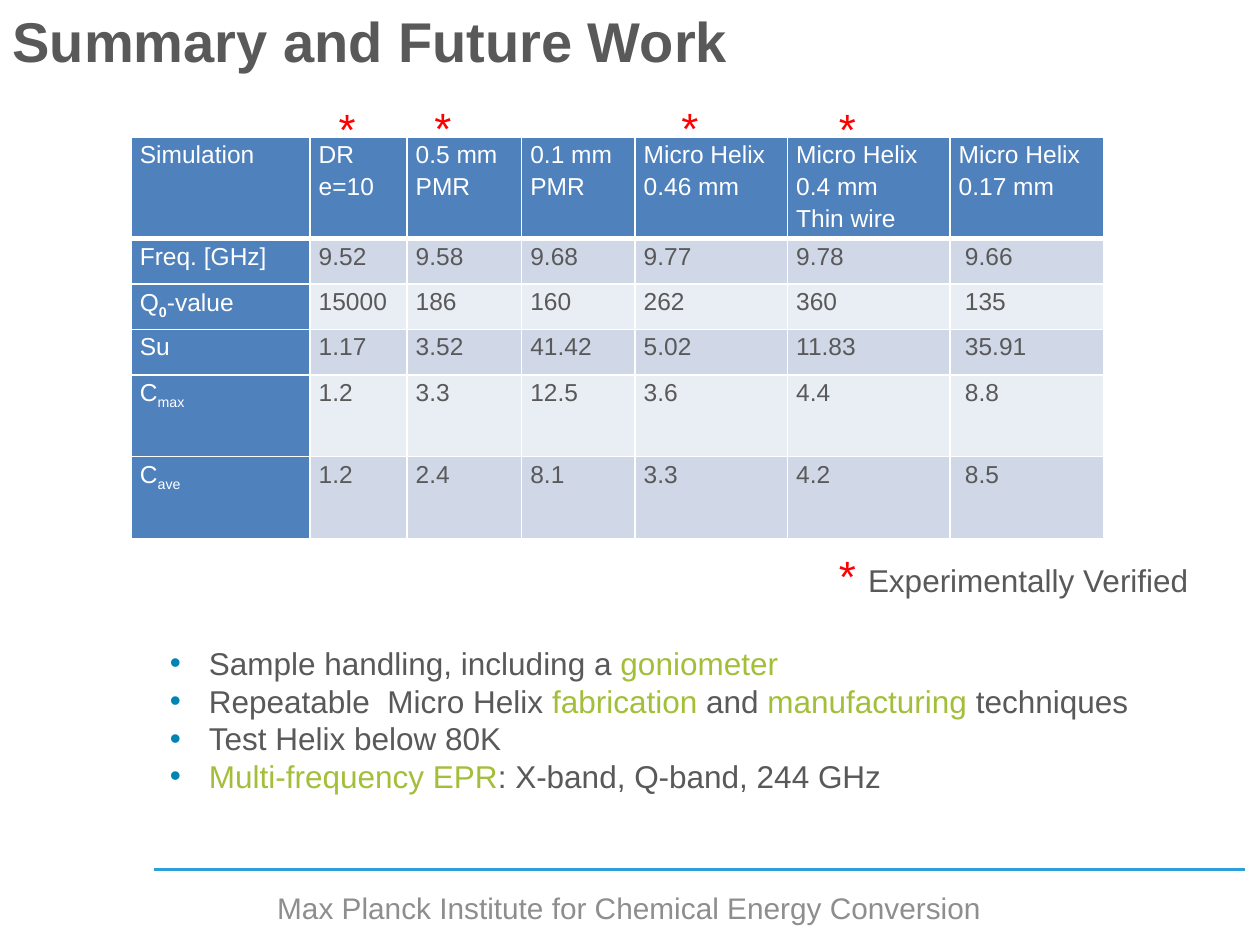
from lxml import etree
from pptx import Presentation
from pptx.dml.color import RGBColor
from pptx.enum.shapes import MSO_CONNECTOR
from pptx.enum.text import MSO_ANCHOR, MSO_AUTO_SIZE, PP_ALIGN
from pptx.oxml.ns import qn
from pptx.util import Inches, Pt

STRAIGHT = MSO_CONNECTOR.STRAIGHT
TOP = MSO_ANCHOR.TOP
GROW = MSO_AUTO_SIZE.SHAPE_TO_FIT_TEXT
LEFT, CENTER = PP_ALIGN.LEFT, PP_ALIGN.CENTER

WHITE = RGBColor(0xFF, 0xFF, 0xFF)
GRAY = RGBColor(0x59, 0x59, 0x59)
FOOTER_GRAY = RGBColor(0x8E, 0x8E, 0x8E)
RED = RGBColor(0xFF, 0x00, 0x00)
GREEN = RGBColor(0xA3, 0xBF, 0x39)
BULLET_BLUE = RGBColor(0x00, 0x84, 0xB4)
RULE_BLUE = RGBColor(0x2D, 0xA0, 0xD9)
HEADER_BLUE = RGBColor(0x4F, 0x81, 0xBD)
BANDS = (RGBColor(0xD0, 0xD8, 0xE8), RGBColor(0xE9, 0xED, 0xF4))

BODY = {"size": Pt(18), "color": GRAY}
ACCENT = {**BODY, "color": GREEN}
STAR = {"size": Pt(25), "color": RED}
TITLE = {"size": Pt(32), "color": GRAY, "bold": True}
FOOTER = {"size": Pt(17), "color": FOOTER_GRAY}
LABEL = {"size": Pt(14), "color": WHITE}
VALUE = {"size": Pt(14), "color": GRAY}
SUB = {**LABEL, "baseline": -25000}
BOLD_SUB = {**SUB, "bold": True}

COLUMN_WIDTHS = (1.42, 0.77, 0.91, 0.9, 1.21, 1.29, 1.22)
ROW_HEIGHTS = (0.74, 0.36, 0.36, 0.36, 0.65, 0.65)
HEADINGS = ("Simulation", "DR e=10", "0.5 mm PMR", "0.1 mm PMR",
            "Micro Helix\n0.46 mm", "Micro Helix\n0.4 mm\nThin wire",
            "Micro Helix\n0.17 mm")
RESULTS = (
    ([("Freq. [GHz]", LABEL)],
     ("9.52", "9.58", "9.68", "9.77", "9.78", "9.66")),
    ([("Q", LABEL), ("0", BOLD_SUB), ("-value", LABEL)],
     ("15000", "186", "160", "262", "360", "135")),
    ([("Su", LABEL)], ("1.17", "3.52", "41.42", "5.02", "11.83", "35.91")),
    ([("C", LABEL), ("max", SUB)], ("1.2", "3.3", "12.5", "3.6", "4.4", "8.8")),
    ([("C", LABEL), ("ave", SUB)], ("1.2", "2.4", "8.1", "3.3", "4.2", "8.5")),
)
VERIFIED_MARKS = ((2.59, 0.76), (3.35, 0.75), (5.31, 0.75), (6.56, 0.76))
FUTURE_WORK = (
    [("Sample handling, including a ", BODY), ("goniometer", ACCENT)],
    [("Repeatable  Micro Helix ", BODY), ("fabrication", ACCENT),
     (" and ", BODY), ("manufacturing", ACCENT), (" techniques", BODY)],
    [("Test Helix below 80K", BODY)],
    [("Multi-frequency EPR", ACCENT), (": X-band, Q-band, 244 GHz", BODY)],
)


def add_runs(paragraph, runs):
    for text, style in runs:
        run = paragraph.add_run()
        run.text = text
        run.font.name = "Arial"
        for key, value in style.items():
            if key == "color":
                run.font.color.rgb = value
            elif key == "baseline":
                run._r.get_or_add_rPr().set("baseline", str(value))
            else:
                setattr(run.font, key, value)


def fill_paragraphs(frame, paragraphs, prepare=None):
    """Write one list of runs per paragraph, preparing each paragraph first."""
    for index, runs in enumerate(paragraphs):
        paragraph = frame.add_paragraph() if index else frame.paragraphs[0]
        if prepare:
            prepare(paragraph)
        add_runs(paragraph, runs)


def add_bullet(paragraph):
    properties = paragraph._p.get_or_add_pPr()
    properties.set("marL", str(Inches(0.31)))
    properties.set("indent", str(-Inches(0.31)))
    color = etree.SubElement(properties, qn("a:buClr"))
    etree.SubElement(color, qn("a:srgbClr"), val=str(BULLET_BLUE))
    etree.SubElement(properties, qn("a:buFont"), typeface="Arial")
    etree.SubElement(properties, qn("a:buChar"), char="•")


def open_lines(paragraph):
    paragraph.line_spacing = 1.15


def center(paragraph):
    paragraph.alignment = CENTER


def add_text(slide, place, paragraphs, prepare=None, wrap=False):
    box = slide.shapes.add_textbox(*map(Inches, place))
    box.text_frame.word_wrap = wrap
    if not wrap:
        box.text_frame.auto_size = GROW
    fill_paragraphs(box.text_frame, paragraphs, prepare)


def set_title(slide, text):
    title = slide.shapes.title
    title.left, title.top, title.width, title.height = map(
        Inches, (0, 0, 9, 0.64))
    frame = title.text_frame
    frame.vertical_anchor = TOP
    frame.auto_size = GROW
    frame.paragraphs[0].alignment = LEFT
    fill_paragraphs(frame, [[(text, TITLE)]])


def set_borders(cell, bottom_width):
    properties = cell._tc.get_or_add_tcPr()
    widths = {"lnL": 1, "lnR": 1, "lnT": 1, "lnB": bottom_width}
    for side, width in widths.items():
        border = etree.SubElement(properties, qn("a:" + side), w=str(Pt(width)))
        fill = etree.SubElement(border, qn("a:solidFill"))
        etree.SubElement(fill, qn("a:srgbClr"), val=str(WHITE))


def fill_cell(cell, paragraphs, color, left_margin=0.07, bottom_width=1):
    margins = {"margin_left": left_margin, "margin_right": 0.07,
               "margin_top": 0, "margin_bottom": 0}
    for name, length in margins.items():
        setattr(cell, name, Inches(length))
    set_borders(cell, bottom_width)
    cell.fill.solid()
    cell.fill.fore_color.rgb = color
    fill_paragraphs(cell.text_frame, paragraphs, open_lines)


def add_results_table(slide):
    table = slide.shapes.add_table(
        len(ROW_HEIGHTS), len(COLUMN_WIDTHS), Inches(1.04), Inches(1.09),
        Inches(sum(COLUMN_WIDTHS)), Inches(sum(ROW_HEIGHTS))).table
    for column, width in zip(table.columns, COLUMN_WIDTHS):
        column.width = Inches(width)
    for row, height in zip(table.rows, ROW_HEIGHTS):
        row.height = Inches(height)

    for column, heading in enumerate(HEADINGS):
        lines = [[(line, LABEL)] for line in heading.split("\n")]
        fill_cell(table.cell(0, column), lines, HEADER_BLUE, bottom_width=3)
    last_column = len(COLUMN_WIDTHS) - 1
    for row, (label, values) in enumerate(RESULTS, start=1):
        fill_cell(table.cell(row, 0), [label], HEADER_BLUE)
        for column, value in enumerate(values, start=1):
            margin = 0.12 if column == last_column else 0.07
            fill_cell(table.cell(row, column), [[(value, VALUE)]],
                      BANDS[(row - 1) % 2], margin)


def add_footer(slide):
    rule = slide.shapes.add_connector(
        STRAIGHT, Inches(1.22), Inches(6.9), Inches(9.88), Inches(6.9))
    rule.line.color.rgb = RULE_BLUE
    rule.line.width = Pt(1.5)
    etree.SubElement(rule._element.spPr, qn("a:effectLst"))
    institute = "Max Planck Institute for Chemical Energy Conversion"
    add_text(slide, (0.98, 7.01, 8.03, 0.47), [[(institute, FOOTER)]],
             center, wrap=True)


def main():
    deck = Presentation()
    deck.slide_width, deck.slide_height = Inches(10), Inches(7.5)
    slide = deck.slides.add_slide(deck.slide_layouts[5])
    set_title(slide, "Summary and Future Work")
    add_footer(slide)
    add_results_table(slide)
    for left, top in VERIFIED_MARKS:
        add_text(slide, (left, top, 0.34, 0.57), [[("*", STAR)]])
    add_text(slide, (6.56, 4.31, 3, 0.52),
             [[("* ", STAR), ("Experimentally Verified", BODY)]])
    add_text(slide, (1.25, 5.06, 7.81, 1.31), FUTURE_WORK, add_bullet)
    deck.save("out.pptx")


if __name__ == "__main__":
    main()
